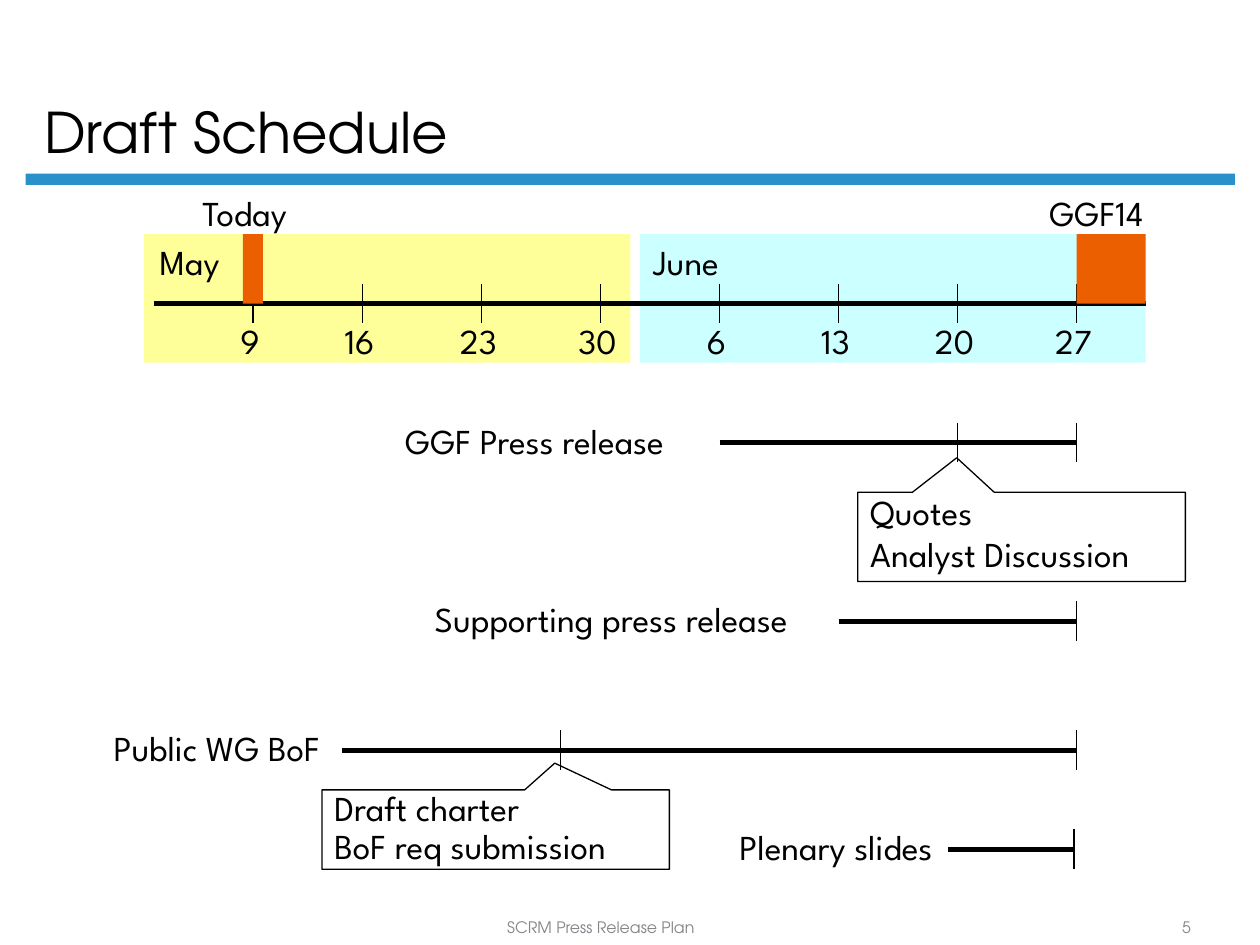
"""Build the draft schedule slide: a two-month timeline with release bars."""
from dataclasses import dataclass

from pptx import Presentation
from pptx.dml.color import RGBColor
from pptx.enum.shapes import MSO_CONNECTOR, MSO_SHAPE
from pptx.enum.text import MSO_ANCHOR, MSO_AUTO_SIZE, PP_ALIGN
from pptx.oxml.xmlchemy import OxmlElement
from pptx.util import Pt

RECT, CALLOUT = MSO_SHAPE.RECTANGLE, MSO_SHAPE.RECTANGULAR_CALLOUT
STRAIGHT = MSO_CONNECTOR.STRAIGHT
TOP, BOTTOM = MSO_ANCHOR.TOP, MSO_ANCHOR.BOTTOM
LEFT, CENTER = PP_ALIGN.LEFT, PP_ALIGN.CENTER
NO_FIT = MSO_AUTO_SIZE.NONE


@dataclass(frozen=True)
class Theme:
    ink: RGBColor = RGBColor.from_string("000000")
    muted: RGBColor = RGBColor.from_string("848589")
    rule: RGBColor = RGBColor.from_string("2990CA")
    may: RGBColor = RGBColor.from_string("FFFF99")
    june: RGBColor = RGBColor.from_string("CCFFFF")
    event: RGBColor = RGBColor.from_string("EB5F01")
    head_font: str = "TeX Gyre Adventor"
    body_font: str = "League Spartan"
    title: int = 32
    body: int = 20
    footer: int = 9
    thick: float = 3
    thin: float = 0.75


theme = Theme()
prs = Presentation()
prs.slide_width, prs.slide_height = Pt(720), Pt(540)
s = prs.slides.add_slide(prs.slide_layouts[5])


def add_rect(x, y, w, h, color):
    sp = s.shapes.add_shape(RECT, Pt(x), Pt(y), Pt(w), Pt(h))
    sp.shadow.inherit = False
    sp.fill.solid()
    sp.fill.fore_color.rgb = color
    sp.line.fill.background()


def add_line(x1, y1, x2, y2, width):
    cn = s.shapes.add_connector(STRAIGHT, Pt(x1), Pt(y1), Pt(x2), Pt(y2))
    cn.line.color.rgb = theme.ink
    cn.line.width = Pt(width)
    cn._element.spPr.append(OxmlElement("a:effectLst"))


title = s.shapes.title
title.left, title.top, title.width, title.height = Pt(18), Pt(8.5), Pt(616), Pt(90)
tf = title.text_frame
tf.text = "Draft Schedule"
tf.auto_size = NO_FIT
tf.vertical_anchor = BOTTOM
p = tf.paragraphs[0]
p.alignment = LEFT
p.line_spacing = 0.9
p.font.name, p.font.size = theme.head_font, Pt(theme.title)
p.font.color.rgb = theme.ink

add_rect(14.7, 99.2, 691, 6.5, theme.rule)
add_rect(365.7, 133.8, 289, 73.5, theme.june)
add_rect(82.2, 133.8, 278, 73.5, theme.may)

AXIS_Y, AXIS_END, TICK = 173.5, 654.7, 11.3
WEEK = 68
dates = ["9", "16", "23", "30", "6", "13", "20", "27"]
ticks = [144.6] + [207.2 + WEEK * i for i in range(7)]
june_6, june_13, june_20, june_27 = ticks[4:]

add_line(88, AXIS_Y, AXIS_END, AXIS_Y, theme.thick)
for x in ticks:
    add_line(x, AXIS_Y - TICK, x, AXIS_Y + TICK, theme.thin)
add_rect(june_27, 133.8, AXIS_END - june_27, 39.7, theme.event)
add_rect(138.8, 133.8, 11.4, 39.7, theme.event)

labels = [
    ("May", 81.3, 133.8, 54),
    ("June", 364.3, 133.8, 55.5),
    ("Today", 104.3, 106, 71),
    ("GGF14", 588, 106, 77),
]
labels += [(date, x - 20.5, 179.3, 37.5) for date, x in zip(dates, ticks)]

activities = [
    ("GGF Press release", 213.5, 184, 253, june_6, june_27, [june_20]),
    ("Supporting press release", 224.3, 250, 355, june_13, june_27, []),
    ("Public WG BoF", 48.7, 150.5, 428.7, 195.7, june_27, [320.2]),
    ("Plenary slides", 406, 143.5, 485.3, 541.5, 613.8, []),
]
for name, x, w, y, start, end, milestones in activities:
    add_line(start, y, end, y, theme.thick)
    for mark in [end] + milestones:
        add_line(mark, y - TICK, mark, y + TICK, theme.thin)
    labels.append((name, x, y - 17, w))

callouts = [
    (490.2, 281.3, 187.2, 51, (-0.198, -0.887),
     [("Quotes", 0.8, 0), ("Analyst Discussion", 0.4, 12.5)]),
    (184, 451.4, 198.5, 45.4, (0.17, -0.837),
     [("Draft charter", 0.75, 0), ("BoF req submission", 0.75, 3.7)]),
]
for x, y, w, h, tip, lines in callouts:
    sp = s.shapes.add_shape(CALLOUT, Pt(x), Pt(y), Pt(w), Pt(h))
    sp.adjustments[0], sp.adjustments[1] = tip
    sp.shadow.inherit = False
    sp.fill.background()
    sp.line.color.rgb = theme.ink
    sp.line.width = Pt(theme.thin)
    tf = sp.text_frame
    tf.word_wrap = True
    tf.vertical_anchor = TOP
    for i, (text, spacing, before) in enumerate(lines):
        p = tf.add_paragraph() if i else tf.paragraphs[0]
        p.text = text
        p.alignment = LEFT
        p.line_spacing = spacing
        p.space_before = Pt(before)
        p.font.name, p.font.size = theme.body_font, Pt(theme.body)
        p.font.color.rgb = theme.ink

label_style = (32, TOP, False, theme.body_font, theme.body, theme.ink)
footer_style = (17, BOTTOM, True, theme.head_font, theme.footer, theme.muted)
texts = [(*label, label_style) for label in labels]
texts += [
    ("SCRM Press Release Plan", 168, 522, 350.5, footer_style),
    ("5", 648, 522, 60, footer_style),
]
for text, x, y, w, (h, anchor, wrap, font, size, color) in texts:
    tf = s.shapes.add_textbox(Pt(x), Pt(y), Pt(w), Pt(h)).text_frame
    tf.word_wrap = wrap
    tf.vertical_anchor = anchor
    p = tf.paragraphs[0]
    p.text = text
    p.alignment = CENTER
    p.font.name, p.font.size = font, Pt(size)
    p.font.color.rgb = color

prs.save("out.pptx")
